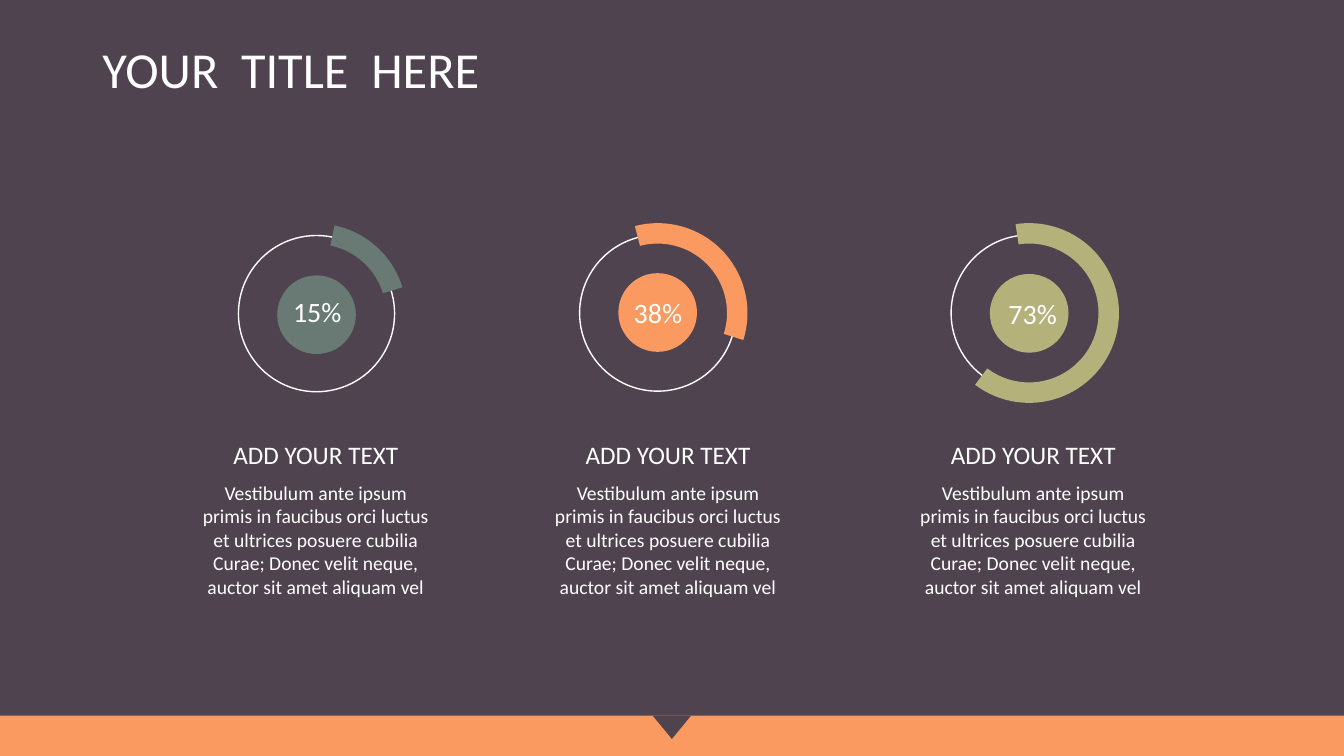
from dataclasses import dataclass

from pptx import Presentation
from pptx.dml.color import RGBColor
from pptx.enum.shapes import MSO_SHAPE as Shape
from pptx.enum.text import PP_ALIGN as Align
from pptx.util import Pt

COLORS = {
    "plum": "4F434F",
    "orange": "FA9A60",
    "olive": "B4B17A",
    "sage": "697A74",
    "white": "FFFFFF",
}
PAGE_WIDTH, PAGE_HEIGHT = 960.48, 540
RING, DISC, ARC, ARC_BAND = 111.6, 56.2, 128.4, 14.6
BODY = ("Vestibulum ante ipsum primis in faucibus orci luctus et ultrices "
        "posuere cubilia Curae; Donec velit neque, auctor sit amet aliquam vel")


@dataclass
class Gauge:
    value: str
    color: str
    center: tuple         # middle of the ring
    start: float          # arc angles, clockwise from 3 o'clock
    end: float
    disc_shift: float     # disc offset downwards
    value_shift: tuple    # label offset from the ring middle
    caption_center: float


GAUGES = [
    Gauge("15%", "sage", (226.2, 224), 281.6, 343, 0.8, (0.5, -1.6), 225.7),
    Gauge("38%", "orange", (470, 223.6), 255.3, 17.5, -0.4, (0.2, -0.4), 477.4),
    Gauge("73%", "olive", (735.5, 223.6), 261.3, 127, 0.2, (2.5, 0.2), 738.4),
]


def rgb(name):
    return RGBColor.from_string(COLORS[name])


def add_figure(page, kind, box, fill=None, line=None):
    figure = page.shapes.add_shape(kind, *map(Pt, box))
    figure.shadow.inherit = False
    if fill:
        figure.fill.solid()
        figure.fill.fore_color.rgb = rgb(fill)
    else:
        figure.fill.background()
    if line:
        figure.line.color.rgb = rgb(line)
        figure.line.width = Pt(1)
    else:
        figure.line.fill.background()
    return figure


def add_text(page, box, text, size, align=Align.CENTER, wrap=True, spacing=None):
    frame = page.shapes.add_textbox(*map(Pt, box)).text_frame
    frame.word_wrap = wrap
    para = frame.paragraphs[0]
    for name, value in {"alignment": align, "line_spacing": spacing}.items():
        setattr(para, name, value)
    span = para.add_run()
    span.text = text
    for name, value in {"name": "Calibri", "size": Pt(size)}.items():
        setattr(span.font, name, value)
    span.font.color.rgb = rgb("white")


def around(center, width, height):
    x, y = center
    return x - width / 2, y - height / 2, width, height


def draw_footer(page, box):
    left, top, width, height = box
    add_figure(page, Shape.RECTANGLE, box, "orange")
    # Notch pointing down from the top edge
    notch = add_figure(page, Shape.ISOSCELES_TRIANGLE,
                       (left + width / 2 - 13.8, top, 27.4, 16.6), "plum")
    notch.rotation = 180


def draw_title(page, box):
    add_text(page, box, "YOUR  TITLE  HERE", 36, Align.LEFT, spacing=0.9)


def draw_gauge(page, box, gauge):
    left, top, width, height = box
    center = x, y = left + width / 2, top + height / 2
    add_figure(page, Shape.OVAL, around(center, RING, RING), line="white")
    # Share arc: angle adjustments count 60000 units a degree, scaled by 100000
    arc = add_figure(page, Shape.BLOCK_ARC, box, gauge.color)
    settings = (gauge.start * 0.6, gauge.end * 0.6, ARC_BAND / width)
    for index, setting in enumerate(settings):
        arc.adjustments[index] = setting
    # Disc with its value
    add_figure(page, Shape.OVAL, around((x, y + gauge.disc_shift), DISC, DISC),
               gauge.color)
    dx, dy = gauge.value_shift
    add_text(page, around((x + dx, y + dy), 49, 31.6), gauge.value, 20, wrap=False)


def draw_caption(page, box):
    left, top, width, height = box
    add_text(page, (left + 10, top, width - 20, 29), "ADD YOUR TEXT", 18)
    add_text(page, (left, top + 29.5, width, height - 29.5), BODY, 14)


def draw_gauge_slide(deck):
    page = deck.slides.add_slide(deck.slide_layouts[6])
    page.background.fill.solid()
    page.background.fill.fore_color.rgb = rgb("plum")
    draw_footer(page, (0, 511.2, PAGE_WIDTH, 28.8))
    draw_title(page, (66.2, 28.8, 828, 104.4))
    for gauge in GAUGES:
        draw_gauge(page, around(gauge.center, ARC, ARC), gauge)
        draw_caption(page, (gauge.caption_center - 91.2, 310.3, 182.4, 121))


def main():
    deck = Presentation()
    deck.slide_width, deck.slide_height = Pt(PAGE_WIDTH), Pt(PAGE_HEIGHT)
    draw_gauge_slide(deck)
    deck.save("out.pptx")


if __name__ == "__main__":
    main()
